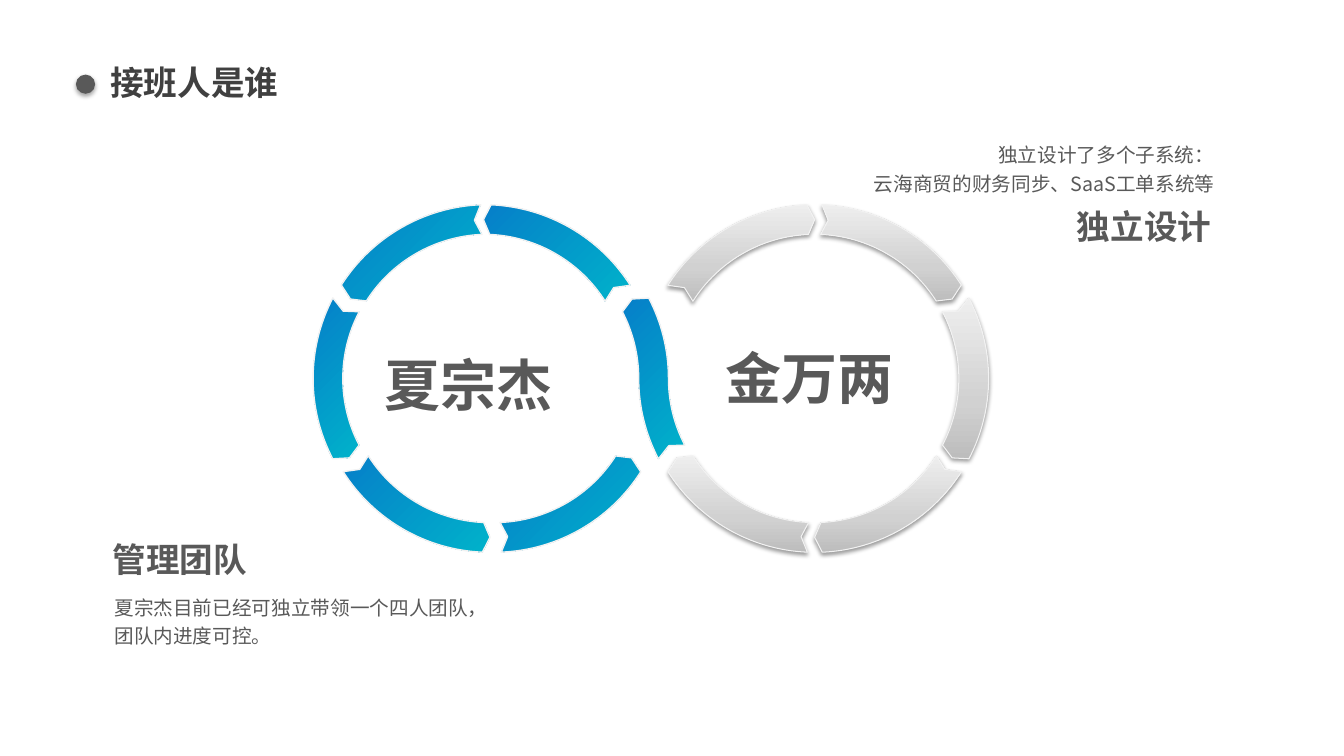
import math

import pptx
import pptx.dml.color
import pptx.enum.shapes
import pptx.enum.text
import pptx.oxml
import pptx.oxml.ns
import pptx.util

ALIGN = pptx.enum.text.PP_ALIGN
ANCHOR = pptx.enum.text.MSO_ANCHOR
FONT = "Noto Sans CJK SC"
COLORS = {
    "title": "404040",
    "text": "595959",
    "outline": "F2F2F2",
    "shadow": "000000",
    "blue": "067FC9",
    "teal": "00B2CA",
    "dark_gray": "BDBDBD",
    "mid_gray": "D1D1D1",
    "light_gray": "EEEEEE",
}
CELL = pptx.util.Inches(0.1)
NAME_INSETS = (1.3, 0.7)
CENTER_ROW = 37.55
LEFT_COLUMNS = {0: 48.6, 1: 49, 3: 47.95, 4: 48.4, 5: 48.3}
RIGHT_CENTER = (80.8, CENTER_ROW)
LINK_LEFT_CENTER = (49.05, CENTER_ROW)
LINK_RIGHT_CENTER = (80.6, CENTER_ROW)
OUTER, MIDDLE, INNER = 17.25, 15.75, 14.3
FIRST_TAIL, STEP, SPAN, TIP = 32.4, 60, 55.1, 2.5
BLUE_STYLE = {"stops": [(0, "blue"), (100, "teal")], "angle": 45, "line_width": 1}
GRAY_STYLE = {
    "stops": [(0, "dark_gray"), (35, "mid_gray"), (100, "light_gray")],
    "angle": 270,
    "line_width": 0.75,
    "shadow": (38, 1.6),
}


def cells(*values):
    return [round(value * CELL) for value in values]


def rgb(name):
    return pptx.dml.color.RGBColor.from_string(COLORS[name])


def write_text(shape, text, size=14, color="text", bold=False, align=ALIGN.LEFT,
               anchor=ANCHOR.TOP, insets=(1, 0.5), spacing=1.0, grow=True):
    frame = shape.text_frame
    frame.word_wrap = True
    frame.vertical_anchor = anchor
    sizing = pptx.enum.text.MSO_AUTO_SIZE
    frame.auto_size = sizing.SHAPE_TO_FIT_TEXT if grow else sizing.NONE
    frame.margin_left = frame.margin_right = cells(insets[0])[0]
    frame.margin_top = frame.margin_bottom = cells(insets[1])[0]
    frame.text = text
    for paragraph in frame.paragraphs:
        paragraph.alignment = align
        paragraph.line_spacing = spacing
        paragraph.space_before = pptx.util.Pt(0)
        for run in paragraph.runs:
            run.font.size = pptx.util.Pt(size)
            run.font.bold = bold
            run.font.name = FONT
            run.font.color.rgb = rgb(color)
            east_asian = pptx.oxml.parse_xml(
                f'<a:ea {pptx.oxml.ns.nsdecls("a")} typeface="{FONT}"/>')
            run.font._element.find(pptx.oxml.ns.qn("a:latin")).addnext(east_asian)


def add_text(slide, box, text, **text_format):
    write_text(slide.shapes.add_textbox(*cells(*box)), text, **text_format)


def set_shadow(shape, shadow):
    shape.shadow.inherit = False
    if shadow:
        opacity, distance = shadow
        effects = shape._element.spPr.find(pptx.oxml.ns.qn("a:effectLst"))
        effects.append(pptx.oxml.parse_xml(
            f'<a:outerShdw {pptx.oxml.ns.nsdecls("a")} blurRad="{pptx.util.Pt(3.1)}" '
            f'dist="{pptx.util.Pt(distance)}" dir="5400000" algn="t" rotWithShape="0">'
            f'<a:srgbClr val="{COLORS["shadow"]}"><a:alpha val="{opacity * 1000}"/>'
            f'</a:srgbClr></a:outerShdw>'))


def set_gradient(shape, stops, angle):
    stop_xml = "".join(
        f'<a:gs pos="{position * 1000}"><a:srgbClr val="{COLORS[name]}"/></a:gs>'
        for position, name in stops)
    gradient = pptx.oxml.parse_xml(
        f'<a:gradFill {pptx.oxml.ns.nsdecls("a")} rotWithShape="1"><a:gsLst>{stop_xml}'
        f'</a:gsLst><a:lin ang="{angle * 60000}" scaled="0"/></a:gradFill>')
    shape._element.spPr.find(pptx.oxml.ns.qn("a:custGeom")).addnext(gradient)


def polar(center, radius, degrees):
    angle = math.radians(degrees)
    return (center[0] + radius * math.cos(angle), center[1] + radius * math.sin(angle))


def curves(center, radius, start, end):
    low, high = sorted((start, end))
    axes = [axis for axis in range(-360, 721, 90) if low < axis < high]
    stops = sorted([start, end] + axes, reverse=start > end)
    segments = []
    for first, last in zip(stops, stops[1:]):
        sweep = math.radians(last - first)
        reach = math.hypot(1, 4 / 3 * math.tan(sweep / 4))
        turn = math.degrees(math.atan(4 / 3 * math.tan(sweep / 4)))
        segments.append((polar(center, radius * reach, first + turn),
                         polar(center, radius * reach, last - turn),
                         polar(center, radius, last)))
    return segments


def edge(center, radius, start, end):
    return [(polar(center, radius, start),)] + curves(center, radius, start, end)


def add_outline(slide, segments, stops, angle, line_width, shadow=None):
    points = [cells(*point) for segment in segments for point in segment]
    builder = slide.shapes.build_freeform(*points[0])
    builder.add_line_segments(points[1:], close=True)
    shape = builder.convert_to_shape()
    lines = iter(list(shape._element.iter(pptx.oxml.ns.qn("a:lnTo"))))
    for segment in segments[1:]:
        parts = [next(lines) for _ in segment]
        if len(parts) == 3:
            curve = pptx.oxml.parse_xml(
                f'<a:cubicBezTo {pptx.oxml.ns.nsdecls("a")}/>')
            parts[0].addprevious(curve)
            for part in parts:
                curve.append(part[0])
                part.getparent().remove(part)
    set_gradient(shape, stops, angle)
    shape.line.color.rgb = rgb("outline")
    shape.line.width = pptx.util.Pt(line_width)
    set_shadow(shape, shadow)


def add_ring_arrow(slide, center, tail, direction, style):
    head = tail + direction * SPAN
    segments = edge(center, OUTER, tail, head)
    segments.append((polar(center, MIDDLE, head + direction * TIP),))
    segments += edge(center, INNER, head, tail)
    segments.append((polar(center, MIDDLE, tail + direction * TIP),))
    add_outline(slide, segments, **style)


def add_link_arrow(slide):
    half = SPAN / 2
    segments = edge(LINK_RIGHT_CENTER, INNER, 180 - half, 180)
    segments += curves(LINK_LEFT_CENTER, OUTER, 0, -half)
    segments.append((polar(LINK_LEFT_CENTER, MIDDLE, -half - TIP),))
    segments += edge(LINK_LEFT_CENTER, INNER, -half, 0)
    segments += curves(LINK_RIGHT_CENTER, OUTER, 180, 180 - half)
    segments.append((polar(LINK_RIGHT_CENTER, MIDDLE, 180 - half + TIP),))
    add_outline(slide, segments, **BLUE_STYLE)


def add_rings(slide):
    for slot, column in LEFT_COLUMNS.items():
        tail = 180 - FIRST_TAIL - slot * STEP
        add_ring_arrow(slide, (column, CENTER_ROW), tail, -1, BLUE_STYLE)
    for slot in LEFT_COLUMNS:
        add_ring_arrow(slide, RIGHT_CENTER, FIRST_TAIL + slot * STEP, 1, GRAY_STYLE)
    add_link_arrow(slide)


def add_title(slide):
    title = slide.shapes.title
    title.left, title.top, title.width, title.height = cells(9.95, 5.65, 89.1, 5)
    write_text(title, "接班人是谁", size=24, color="title", bold=True)
    bullet = slide.shapes.add_shape(
        pptx.enum.shapes.MSO_SHAPE.OVAL, *cells(7.53, 7.4, 1.9, 1.9))
    bullet.fill.solid()
    bullet.fill.fore_color.rgb = rgb("text")
    bullet.line.fill.background()
    set_shadow(bullet, (35, 1.8))


def add_person(slide, name, name_box, heading, heading_box, detail, detail_box, align):
    add_text(slide, name_box, name, size=40, bold=True, align=ALIGN.CENTER,
             insets=NAME_INSETS)
    add_text(slide, detail_box, detail, align=align, insets=NAME_INSETS, spacing=1.2)
    add_text(slide, heading_box, heading, size=24, bold=True, align=align,
             anchor=ANCHOR.MIDDLE, insets=(0, 0), spacing=1.2, grow=False)


def main():
    presentation = pptx.Presentation()
    presentation.slide_width = pptx.util.Inches(13.33)
    presentation.slide_height = pptx.util.Inches(7.5)
    slide = presentation.slides.add_slide(presentation.slide_layouts[5])
    add_title(slide)
    add_rings(slide)
    add_person(slide, "夏宗杰", (32.1, 34.1, 28.8, 8.1),
               "管理团队", (11.15, 52.7, 33.1, 4.7),
               "夏宗杰目前已经可独立带领一个四人团队，团队内进度可控。",
               (10.05, 57.95, 40.1, 9.8), ALIGN.LEFT)
    add_person(slide, "金万两", (65.85, 33.4, 28.9, 8.1),
               "独立设计", (87.05, 19.7, 33.1, 4.7),
               "独立设计了多个子系统：\n云海商贸的财务同步、SaaS工单系统等",
               (81.95, 13.05, 39.8, 7), ALIGN.RIGHT)
    presentation.save("out.pptx")


if __name__ == "__main__":
    main()
